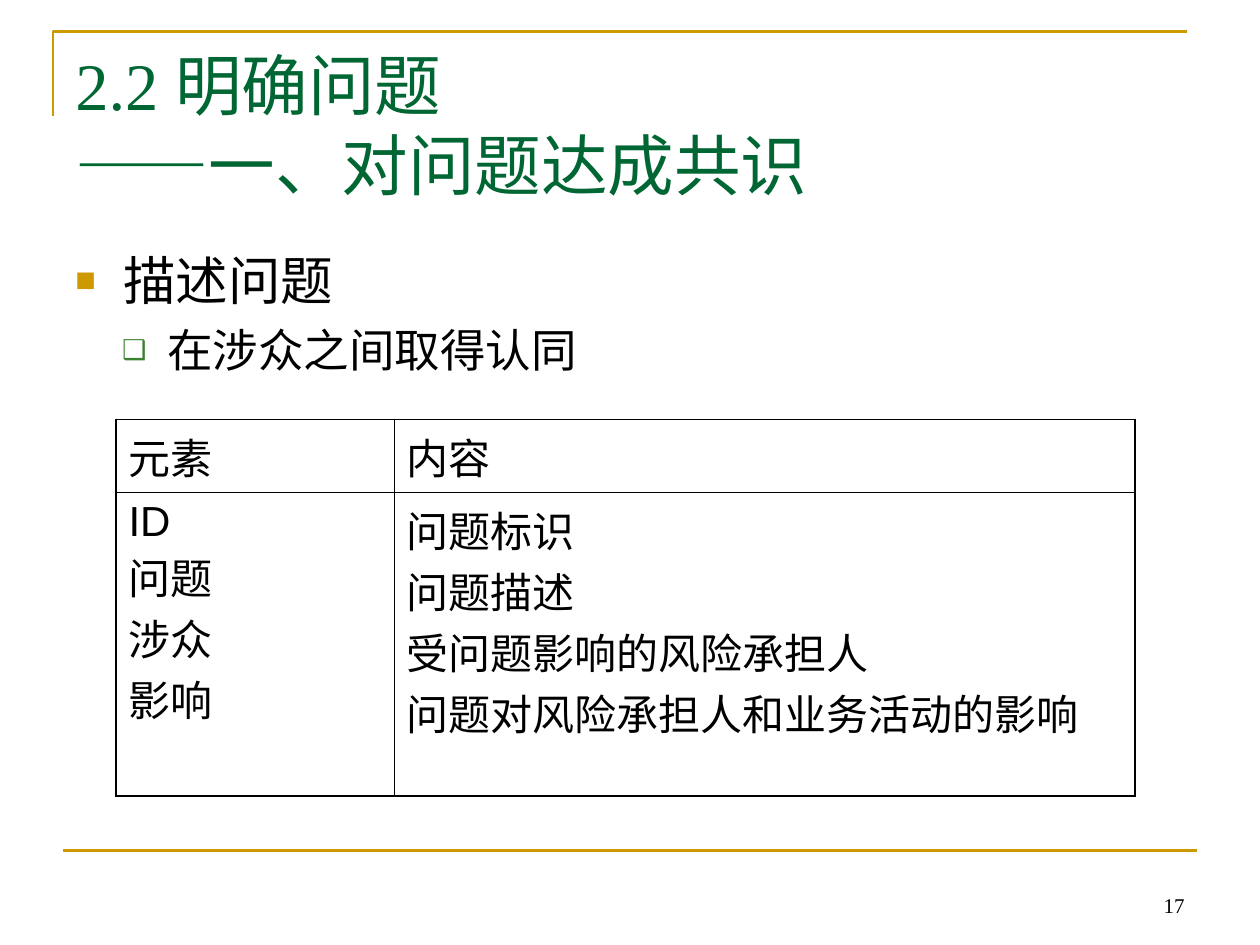
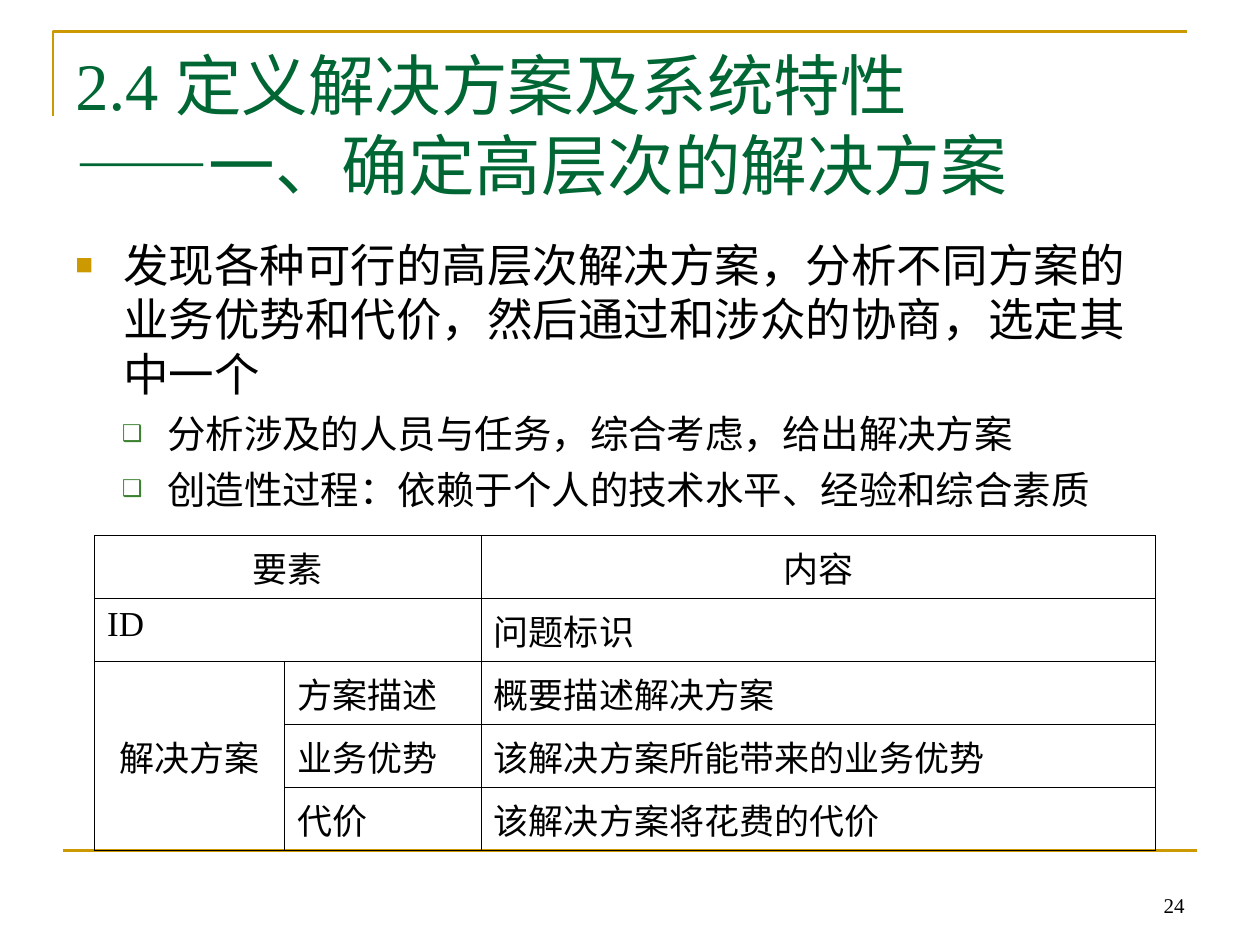
import pptx
import pptx.util
import pptx.dml.color
import pptx.enum.shapes
import pptx.enum.text
import pptx.oxml
import pptx.oxml.ns
from lxml import etree
from pptx.util import Inches, Pt

GOLD, GREEN, LEAF, BLACK = "CC9900", "006633", "3B812F", "000000"
SANS, SERIF = "Arial", "Times New Roman"
EN_SPACE = " "
LEFT, CENTER, RIGHT = (pptx.enum.text.PP_ALIGN.LEFT, pptx.enum.text.PP_ALIGN.CENTER,
                       pptx.enum.text.PP_ALIGN.RIGHT)
THIN, THICK = 0.45, 1.08
# Per outline level: marker, its colour, its size in percent, left margin and hanging indent
BULLETS = [("■", GOLD, 65, 0.38, 0.38), ("❑", LEAF, 60, 0.73, 0.36)]


def rgb(value):
    return pptx.dml.color.RGBColor.from_string(value)


def style(font, size, name, color=BLACK):
    font.size, font.name = Pt(size), name
    font.color.rgb = rgb(color)


def add_child(parent, tag, **attributes):
    child = etree.SubElement(parent, pptx.oxml.ns.qn(tag))
    for key, value in attributes.items():
        child.set(key, str(value))
    return child


def add_text_frame(slide, box):
    frame = slide.shapes.add_textbox(*map(Inches, box)).text_frame
    frame.word_wrap = True
    return frame


def add_frame_lines(slide):
    """Gold corner at the top left and gold rule above the footer."""
    builder = slide.shapes.build_freeform(Inches(0.42), Inches(0.92))
    builder.add_line_segments([(Inches(0.42), Inches(0.25)), (Inches(9.42), Inches(0.25))],
                              close=False)
    corner = builder.convert_to_shape()
    corner.shadow.inherit = False
    corner.fill.background()
    rule = slide.shapes.add_connector(pptx.enum.shapes.MSO_CONNECTOR.STRAIGHT,
                                      Inches(0.5), Inches(6.75), Inches(9.5), Inches(6.75))
    add_child(rule._element.spPr, "a:effectLst")
    for shape in (corner, rule):
        shape.line.color.rgb = rgb(GOLD)
        shape.line.width = Pt(1.5)


def add_title(slide, number, topic, subtopic):
    paragraph = add_text_frame(slide, (0.5, 0.3, 9, 1.25)).paragraphs[0]

    def add_run(text, name):
        run = paragraph.add_run()
        run.text = text
        style(run.font, 38, name, GREEN)

    add_run(number + EN_SPACE + topic, SERIF)
    paragraph.add_line_break()
    add_run("——", SANS)
    add_run(subtopic, SERIF)


def add_page_number(slide, number):
    frame = add_text_frame(slide, (7.17, 6.83, 2.33, 0.5))
    frame.vertical_anchor = pptx.enum.text.MSO_ANCHOR.BOTTOM
    paragraph = frame.paragraphs[0]
    paragraph.text = str(number)
    paragraph.alignment = RIGHT
    style(paragraph.font, 12, SERIF)


def add_outline(slide, box, items, sizes, spacing):
    """Bulleted list of (level, text); sizes and spacing are given per level."""
    frame = add_text_frame(slide, box)
    for index, (level, text) in enumerate(items):
        paragraph = frame.add_paragraph() if index else frame.paragraphs[0]
        paragraph.text = text
        paragraph.level = level
        paragraph.space_before = Pt(spacing[level])
        style(paragraph.font, sizes[level], SANS)
        marker, color, percent, margin, hanging = BULLETS[level]
        properties = paragraph._p.get_or_add_pPr()
        properties.set("marL", str(Inches(margin)))
        properties.set("indent", str(-Inches(hanging)))
        bullet = etree.Element("bullet")
        add_child(add_child(bullet, "a:buClr"), "a:srgbClr", val=color)
        add_child(bullet, "a:buSzPct", val=percent * 1000)
        add_child(bullet, "a:buFont", typeface=SANS)
        add_child(bullet, "a:buChar", char=marker)
        position = list(properties).index(properties.find(pptx.oxml.ns.qn("a:defRPr")))
        properties[position:position] = list(bullet)


def set_borders(cell, widths):
    """Black borders; widths run left, right, top, bottom."""
    properties = cell._tc.get_or_add_tcPr()
    for index, (side, width) in enumerate(zip("LRTB", widths)):
        line = etree.Element(pptx.oxml.ns.qn("a:ln" + side), w=str(Pt(width)))
        add_child(add_child(line, "a:solidFill"), "a:srgbClr", val=BLACK)
        properties.insert(index, line)


def add_grid(slide, origin, columns, rows, texts, size, name, outer, merges=()):
    """Unfilled table with thin inner lines and an outer line of the given width."""
    shape = slide.shapes.add_table(len(rows), len(columns), *map(
        Inches, (*origin, sum(columns), sum(rows))))
    table = shape.table
    table.first_row = table.horz_banding = False
    for column, width in zip(table.columns, columns):
        column.width = Inches(width)
    for row, height in zip(table.rows, rows):
        row.height = Inches(height)
    for (top, left), (bottom, right) in merges:
        table.cell(top, left).merge(table.cell(bottom, right))
    for r, row_texts in enumerate(texts):
        for c, text in enumerate(row_texts):
            cell = table.cell(r, c)
            cell.fill.background()
            edges = (c == 0, c == len(columns) - 1, r == 0, r == len(rows) - 1)
            set_borders(cell, [outer if edge else THIN for edge in edges])
            if text:
                cell.text = text
            for paragraph in cell.text_frame.paragraphs:
                style(paragraph.font, size, name)
    return table


def start_slide(presentation, title, page):
    slide = presentation.slides.add_slide(presentation.slide_layouts[6])
    add_frame_lines(slide)
    add_title(slide, *title)
    add_page_number(slide, page)
    return slide


def build_problem_slide(presentation):
    slide = start_slide(presentation, ("2.2", "明确问题", "一、对问题达成共识"), 17)
    add_outline(slide, (0.5, 1.92, 8.92, 1.25),
                [(0, "描述问题"), (1, "在涉众之间取得认同")], (30, 26), (7.5, 6.5))
    add_grid(slide, (0.92, 3.33), (2.21, 5.88), (0.58, 2.41), [
        ("元素", "内容"),
        ("ID\n问题\n涉众\n影响",
         "问题标识\n问题描述\n受问题影响的风险承担人\n问题对风险承担人和业务活动的影响"),
    ], 24, SANS, THICK)


def build_solution_slide(presentation):
    slide = start_slide(
        presentation, ("2.4", "定义解决方案及系统特性", "一、确定高层次的解决方案"), 24)
    add_outline(slide, (0.5, 1.83, 8.67, 2.35), [
        (0, "发现各种可行的高层次解决方案，分析不同方案的业务优势和代价，"
            "然后通过和涉众的协商，选定其中一个"),
        (1, "分析涉及的人员与任务，综合考虑，给出解决方案"),
        (1, "创造性过程：依赖于个人的技术水平、经验和综合素质"),
    ], (26, 22), (6.5, 5.5))
    table = add_grid(slide, (0.75, 4.25), (1.51, 1.56, 5.35), [0.5] * 5, [
        ("要素", "", "内容"),
        ("ID", "", "问题标识"),
        ("解决方案", "方案描述", "概要描述解决方案"),
        ("", "业务优势", "该解决方案所能带来的业务优势"),
        ("", "代价", "该解决方案将花费的代价"),
    ], 20, SERIF, THIN, merges=[((0, 0), (0, 1)), ((1, 0), (1, 1)), ((2, 0), (4, 0))])
    for row, column in ((0, 0), (0, 2), (2, 0)):
        table.cell(row, column).text_frame.paragraphs[0].alignment = CENTER
    table.cell(2, 0).vertical_anchor = pptx.enum.text.MSO_ANCHOR.MIDDLE


def main():
    presentation = pptx.Presentation()
    presentation.slide_width, presentation.slide_height = Inches(10), Inches(7.5)
    build_problem_slide(presentation)
    build_solution_slide(presentation)
    presentation.save("out.pptx")


if __name__ == "__main__":
    main()
